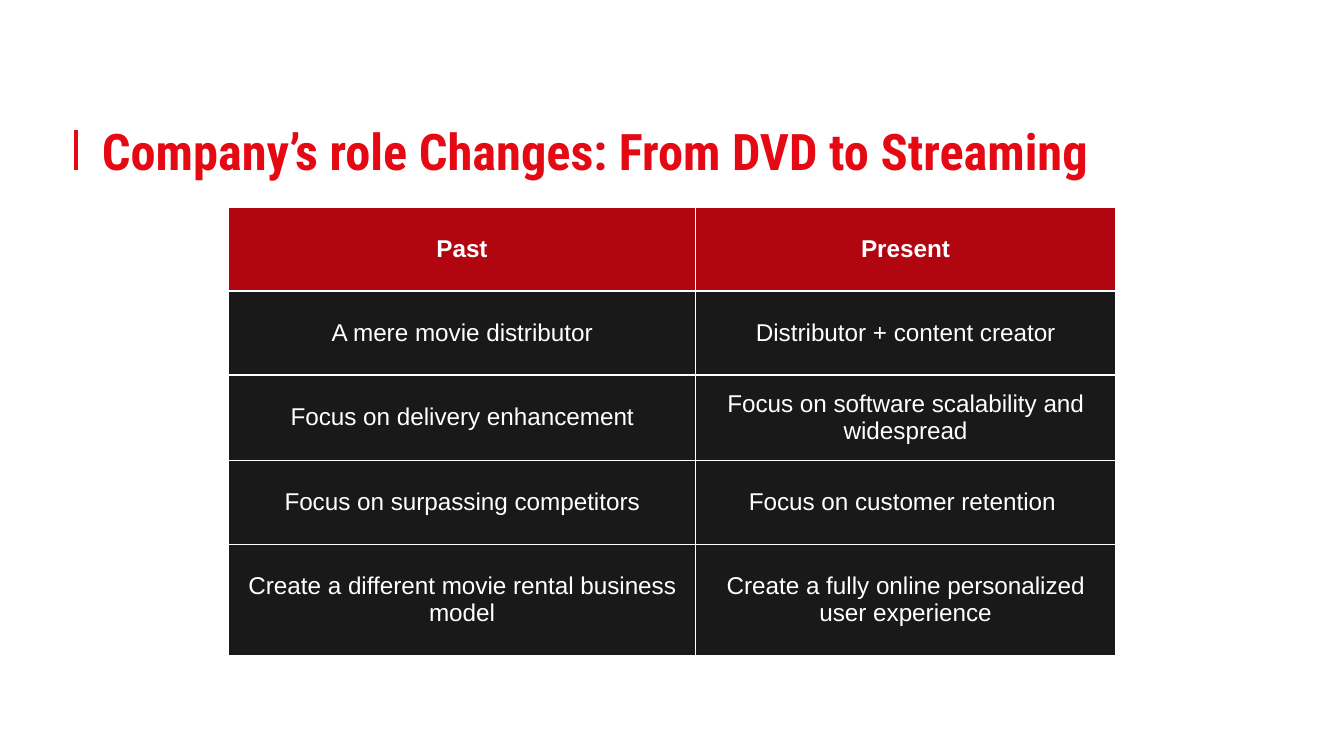
from typing import Any, NamedTuple

from pptx import Presentation
from pptx.dml.color import RGBColor
from pptx.enum.shapes import MSO_CONNECTOR as Connector
from pptx.enum.text import MSO_ANCHOR as Anchor, PP_ALIGN as Align
from pptx.oxml.ns import qn
from pptx.util import Pt
from lxml.etree import SubElement

EMU_PER_PX = 4572
INSET = 20
RED, DARK_RED, BLACK, WHITE = "E50914", "B1060F", "191919", "FFFFFF"
BORDER_WIDTH = 0.75


class Box(NamedTuple):
    left: int
    top: int
    width: int
    height: int


class Row(NamedTuple):
    past: str
    present: str
    height: int = 125
    fill: str = BLACK
    bold: bool = False


TITLE_BOX = Box(132, 161, 1710, 126)
ACCENT = Box(113, 194, 0, 59)
TABLE_LEFT, TABLE_TOP = 340, 308
COLUMN_WIDTHS = (695, 625)
ROWS = (
    Row("Past", "Present", fill=DARK_RED, bold=True),
    Row("A mere movie distributor", "Distributor + content creator"),
    Row("Focus on delivery enhancement", "Focus on software scalability and widespread"),
    Row("Focus on surpassing competitors", "Focus on customer retention "),
    Row("Create a different movie rental business model",
        "Create a fully online personalized user experience", height=166),
)


def px(length: int) -> int:
    return length * EMU_PER_PX


def color(value: str) -> RGBColor:
    return RGBColor.from_string(value)


def apply(target: Any, values: dict[str, Any]) -> None:
    for name, value in values.items():
        setattr(target, name, value)


def margins() -> dict[str, int]:
    return {f"margin_{side}": px(INSET) for side in ("left", "right", "top", "bottom")}


def write(para: Any, text: str, fill: str, font: dict[str, Any]) -> None:
    span = para.add_run()
    span.text = text
    apply(span.font, font)
    span.font.color.rgb = color(fill)


def draw_accent(page: Any, box: Box) -> None:
    x, top, bottom = px(box.left), px(box.top), px(box.top + box.height)
    line = page.shapes.add_connector(Connector.STRAIGHT, x, top, x, bottom)
    line.line.color.rgb = color(RED)
    line.line.width = Pt(2.25)
    SubElement(line._element.spPr, qn("a:effectLst"))


def draw_title(page: Any, box: Box, text: str) -> None:
    frame = page.shapes.add_textbox(*map(px, box)).text_frame
    apply(frame, {"word_wrap": True, "vertical_anchor": Anchor.MIDDLE, **margins()})
    write(frame.paragraphs[0], text, RED,
          {"name": "Roboto Condensed", "size": Pt(27), "bold": True})


def add_borders(cell: Any) -> None:
    properties = cell._tc.get_or_add_tcPr()
    for side in ("a:lnL", "a:lnR", "a:lnT", "a:lnB"):
        border = SubElement(properties, qn(side), w=str(Pt(BORDER_WIDTH)))
        SubElement(SubElement(border, qn("a:solidFill")), qn("a:srgbClr"), val=WHITE)


def draw_cell(cell: Any, text: str, row: Row) -> None:
    add_borders(cell)
    cell.fill.solid()
    cell.fill.fore_color.rgb = color(row.fill)
    apply(cell, {"vertical_anchor": Anchor.MIDDLE, **margins()})
    para = cell.text_frame.paragraphs[0]
    para.alignment = Align.CENTER
    write(para, text, WHITE, {"name": "Arial", "size": Pt(13), "bold": row.bold})


def draw_table(page: Any, rows: tuple[Row, ...]) -> None:
    box = Box(TABLE_LEFT, TABLE_TOP, sum(COLUMN_WIDTHS), sum(row.height for row in rows))
    table = page.shapes.add_table(len(rows), len(COLUMN_WIDTHS), *map(px, box)).table
    for column, width in zip(table.columns, COLUMN_WIDTHS):
        column.width = px(width)
    for line, row in zip(table.rows, rows):
        line.height = px(row.height)
        for cell, text in zip(line.cells, (row.past, row.present)):
            draw_cell(cell, text, row)


def main() -> None:
    deck = Presentation()
    apply(deck, {"slide_width": px(2000), "slide_height": px(1125)})
    page = deck.slides.add_slide(deck.slide_layouts[6])
    draw_accent(page, ACCENT)
    draw_title(page, TITLE_BOX, "Company’s role Changes: From DVD to Streaming")
    draw_table(page, ROWS)
    deck.save("out.pptx")


if __name__ == "__main__":
    main()
